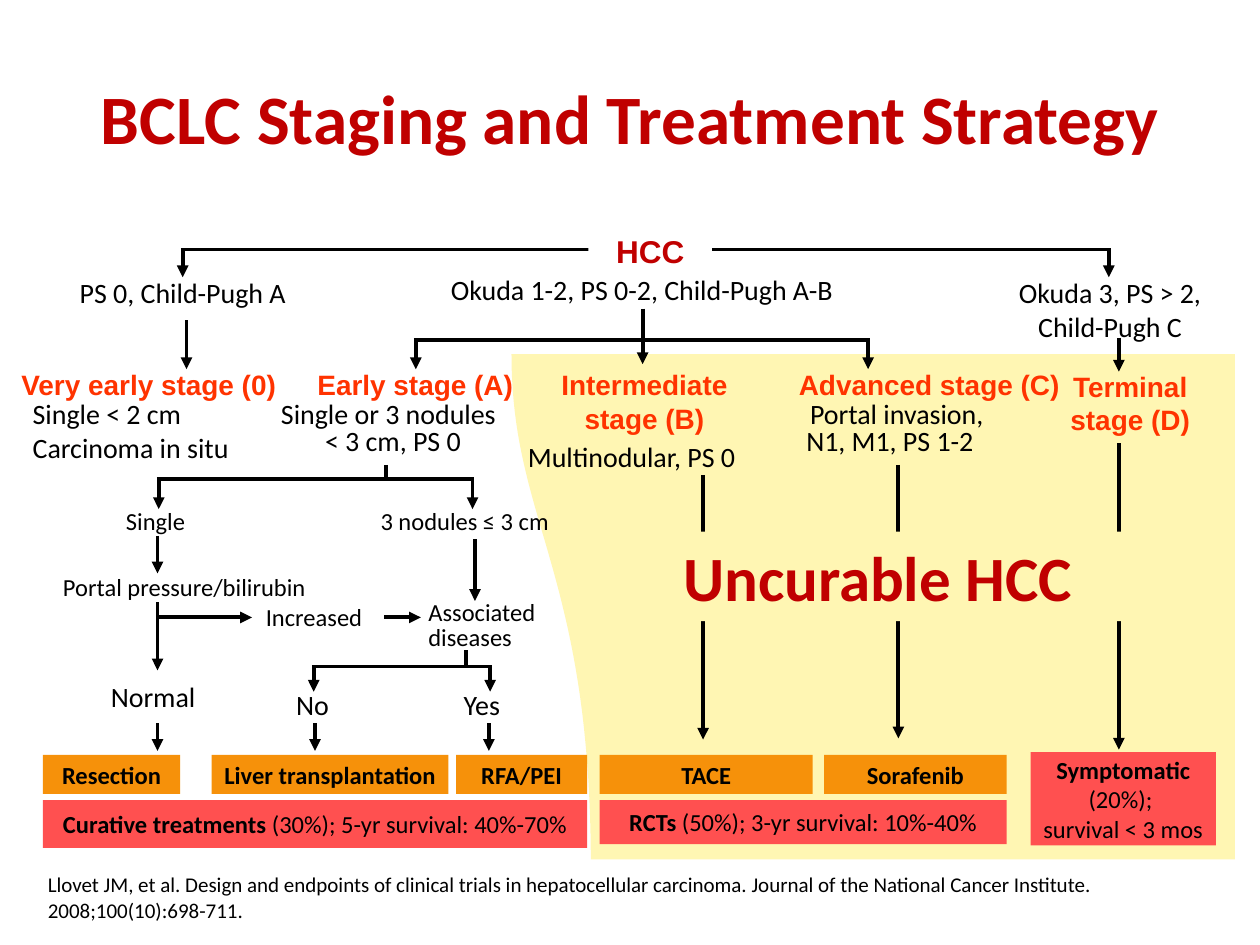
from lxml.etree import SubElement
from pptx import Presentation
from pptx.dml.color import RGBColor
from pptx.enum.shapes import MSO_CONNECTOR, MSO_SHAPE
from pptx.enum.text import MSO_ANCHOR, PP_ALIGN
from pptx.oxml.ns import qn
from pptx.util import Inches, Pt

COLS, ROWS = 100, 75
CELL = Inches(0.1)
BLACK, RED, ORANGE_RED = "000000", "C00000", "FF3300"
ORANGE, CORAL, CREAM, WHITE = "F6910A", "FF5050", "FFF6B3", "FFFFFF"
LEFT, CENTER = PP_ALIGN.LEFT, PP_ALIGN.CENTER

STAGES = [
    ("Very early stage (0)", 1.7, 29.2, 20.5, 2.7, LEFT),
    ("Early stage (A)", 25.2, 29.2, 15.7, 2.7, LEFT),
    ("Intermediate\vstage (B)", 42.6, 29.2, 17.1, 5.4, CENTER),
    ("Advanced stage (C)", 63.4, 29.2, 20.9, 2.7, LEFT),
    ("Terminal\vstage (D)", 84.9, 29.3, 9.6, 5.4, CENTER),
]
CRITERIA = [
    ("PS 0, Child-Pugh A", 4.9, 21.9, 19.2, 2.7, CENTER),
    ("Okuda 1-2, PS 0-2, Child-Pugh A-B", 32.7, 21.6, 36.5, 2.7, CENTER),
    ("Okuda 3, PS > 2,\vChild-Pugh C", 79.5, 21.9, 17.2, 5.4, CENTER),
    ("Single < 2 cm\nCarcinoma in situ", 2.6, 31.5, 17.3, 5.4, LEFT),
    ("Single or 3 nodules", 22.3, 31.5, 19.2, 2.7, LEFT),
    ("< 3 cm, PS 0", 25.8, 33.6, 12.9, 2.7, LEFT),
    ("Multinodular, PS 0", 41.9, 34.9, 18.8, 2.7, LEFT),
    ("Portal invasion,", 64.3, 31.5, 16.3, 2.7, LEFT),
    ("N1, M1, PS 1-2", 64, 33.6, 15.4, 2.7, LEFT),
    ("Normal", 8.8, 53.9, 7.7, 2.7, LEFT),
    ("No", 23.5, 54.6, 3, 2.7, LEFT),
    ("Yes", 36.8, 54.6, 4, 2.7, LEFT),
]
DECISIONS = [
    ("Single", 10, 40.2, 5.4, 2.3, LEFT),
    ("3 nodules ≤ 3 cm", 30.2, 40.2, 14.8, 2.3, LEFT),
    ("Portal pressure/bilirubin", 5, 45.4, 20.4, 2.3, LEFT),
    ("Increased", 21.1, 47.8, 8.5, 2.3, LEFT),
    ("Associated", 34, 47.4, 9.5, 2.3, LEFT),
    ("diseases", 34, 49.4, 7.7, 2.3, LEFT),
]
TREATMENTS = [("Resection", 3.4, 10.9), ("Liver transplantation", 16.8, 18.8),
              ("RFA/PEI", 36.2, 10.4), ("TACE", 47.6, 16.9), ("Sorafenib", 65.4, 14.5)]
OUTCOMES = [
    ("Curative treatments |(30%); 5-yr survival: 40%-70%", 3.4, 63.5, 43.2, 3.8),
    ("RCTs |(50%); 3-yr survival: 10%-40%", 47.6, 63.5, 32.3, 3.5),
    ("Symptomatic |(20%); \n|survival < 3 mos", 81.8, 59.7, 14.7, 7.4),
]
FORKS = [(19.8, [14.5, 88], 22), (27, [33, 68.9], 29.3),
         (38, [12.6, 37.5], 40.4), (52.9, [24.9, 38.9], 54.9)]
STEMS = [(30.6, 36.9, 38), (37, 51.6, 53)]
DROPS = [(14.8, 25.4, 29.3), (51, 24.5, 28.9), (88.8, 26.8, 29.5),
         (12.5, 42.5, 45.5), (12.5, 47.8, 53.2), (37.7, 42.8, 47.7),
         (12.5, 57.4, 59.6), (25, 57.4, 59.6), (38.8, 57.4, 59.6),
         (55.8, 37.7, 58.7), (71.3, 36.9, 58.6), (88.8, 35.2, 59.5)]
SIDEWAYS = [(12.5, 20, 49), (30.5, 33.4, 49)]


def grid(*values):
    """Turn grid counts into slide lengths."""
    return [round(v * CELL) for v in values]


def color(hex_code):
    """Return the colour for a hex string."""
    return RGBColor.from_string(hex_code)


def write(sp, text, size, hue=BLACK, font="Calibri", bold=False, align=LEFT,
          anchor=MSO_ANCHOR.TOP, wrap=False):
    """Set styled text; anything after a bar in a line is not bold."""
    tf = sp.text_frame
    tf.word_wrap, tf.vertical_anchor = wrap, anchor
    tf.margin_left = tf.margin_right = tf.margin_top = tf.margin_bottom = 0
    tf.text = text
    for p in tf.paragraphs:
        lead, _, rest = p.text.partition("|")
        p.text = lead
        p.alignment = align
        for r in p.runs:
            r.font.bold = bold
        if rest:
            r = p.add_run()
            r.text = rest
            r.font.bold = False
        for r in p.runs:
            r.font.name, r.font.size = font, Pt(size)
            r.font.color.rgb = color(hue)


def label(s, text, x, y, w, h, align, size, **style):
    """Add a text box on the grid."""
    write(s.shapes.add_textbox(*grid(x, y, w, h)), text, size, align=align, **style)


def paint(sp, fill):
    """Give a shape a flat fill without line or shadow."""
    sp.shadow.inherit = False
    sp.fill.solid()
    sp.fill.fore_color.rgb = color(fill)
    sp.line.fill.background()


def box(s, text, x, y, w, h, fill, size=14, **style):
    """Add a filled rectangle with centred bold text that wraps inside it."""
    sp = s.shapes.add_shape(MSO_SHAPE.RECTANGLE, *grid(x, y, w, h))
    paint(sp, fill)
    write(sp, text, size, bold=True, align=CENTER, anchor=MSO_ANCHOR.MIDDLE,
          wrap=True, **style)


def line(s, x1, y1, x2, y2, arrow=True):
    """Add a straight line, with an arrowhead at its end if wanted."""
    c = s.shapes.add_connector(MSO_CONNECTOR.STRAIGHT, *grid(x1, y1, x2, y2))
    c.line.width = Pt(2.25)
    c.line.color.rgb = color(BLACK)
    if arrow:
        SubElement(c.line._get_or_add_ln(), qn("a:tailEnd"), type="triangle")
    SubElement(c._element.spPr, qn("a:effectLst"))


def fork(s, bar, xs, tip):
    """Add a horizontal bar with an arrow down at each x."""
    line(s, xs[0] - 0.15, bar, xs[-1] + 0.15, bar, arrow=False)
    for x in xs:
        line(s, x, bar, x, tip)


def bezier(points, steps=40):
    """Sample a cubic curve after its start point."""
    a, b, c, d = points
    for t in (i / steps for i in range(1, steps + 1)):
        u = 1 - t
        yield tuple(u**3 * k + 3 * u * u * t * m + 3 * u * t * t * n + t**3 * o
                    for k, m, n, o in zip(a, b, c, d))


def uncurable_area(s):
    """Add the pale area with a curved left edge."""
    start, corner = (40.6, 28.1), (46.9, 68.2)
    edge = bezier([corner, (46.8, 45.3), (40.6, 41.4), start])
    outline = [(98, 28.1), (98, 68.2), corner, *edge]
    builder = s.shapes.build_freeform(*grid(*start), scale=1.0)
    builder.add_line_segments([grid(*point) for point in outline], close=True)
    paint(builder.convert_to_shape(), CREAM)


def main():
    """Build the staging flowchart and save it."""
    prs = Presentation()
    prs.slide_width, prs.slide_height = grid(COLS, ROWS)
    s = prs.slides.add_slide(prs.slide_layouts[6])
    uncurable_area(s)
    for text, x, w in TREATMENTS:
        box(s, text, x, 59.9, w, 3.1, ORANGE)
    for outcome in OUTCOMES:
        box(s, *outcome, CORAL)
    for bar, xs, tip in FORKS:
        fork(s, bar, xs, tip)
    for x, top, bottom in STEMS:
        line(s, x, top, x, bottom, arrow=False)
    for x, top, tip in DROPS:
        line(s, x, top, x, tip)
    for x, tip, y in SIDEWAYS:
        line(s, x, y, tip, y)
    for stage in STAGES:
        label(s, *stage, 16, hue=ORANGE_RED, font="Arial", bold=True)
    for criterion in CRITERIA:
        label(s, *criterion, 16)
    for decision in DECISIONS:
        label(s, *decision, 14)
    box(s, "HCC", 46.7, 17.9, 9.8, 4, WHITE, 18, hue=RED, font="Arial")
    box(s, "Uncurable HCC", 49.2, 42.2, 40.9, 7.1, CREAM, 36, hue=RED)
    label(s, "BCLC Staging and Treatment Strategy", 5, 3, 90, 12.5, CENTER, 39.6,
          hue=RED, bold=True, anchor=MSO_ANCHOR.MIDDLE, wrap=True)
    label(s, "Llovet JM, et al. Design and endpoints of clinical trials in "
          "hepatocellular carcinoma. Journal of the National Cancer Institute. "
          "2008;100(10):698-711.", 3.8, 69.2, 92.6, 4, LEFT, 12,
          anchor=MSO_ANCHOR.BOTTOM, wrap=True)
    prs.save("out.pptx")


if __name__ == "__main__":
    main()
